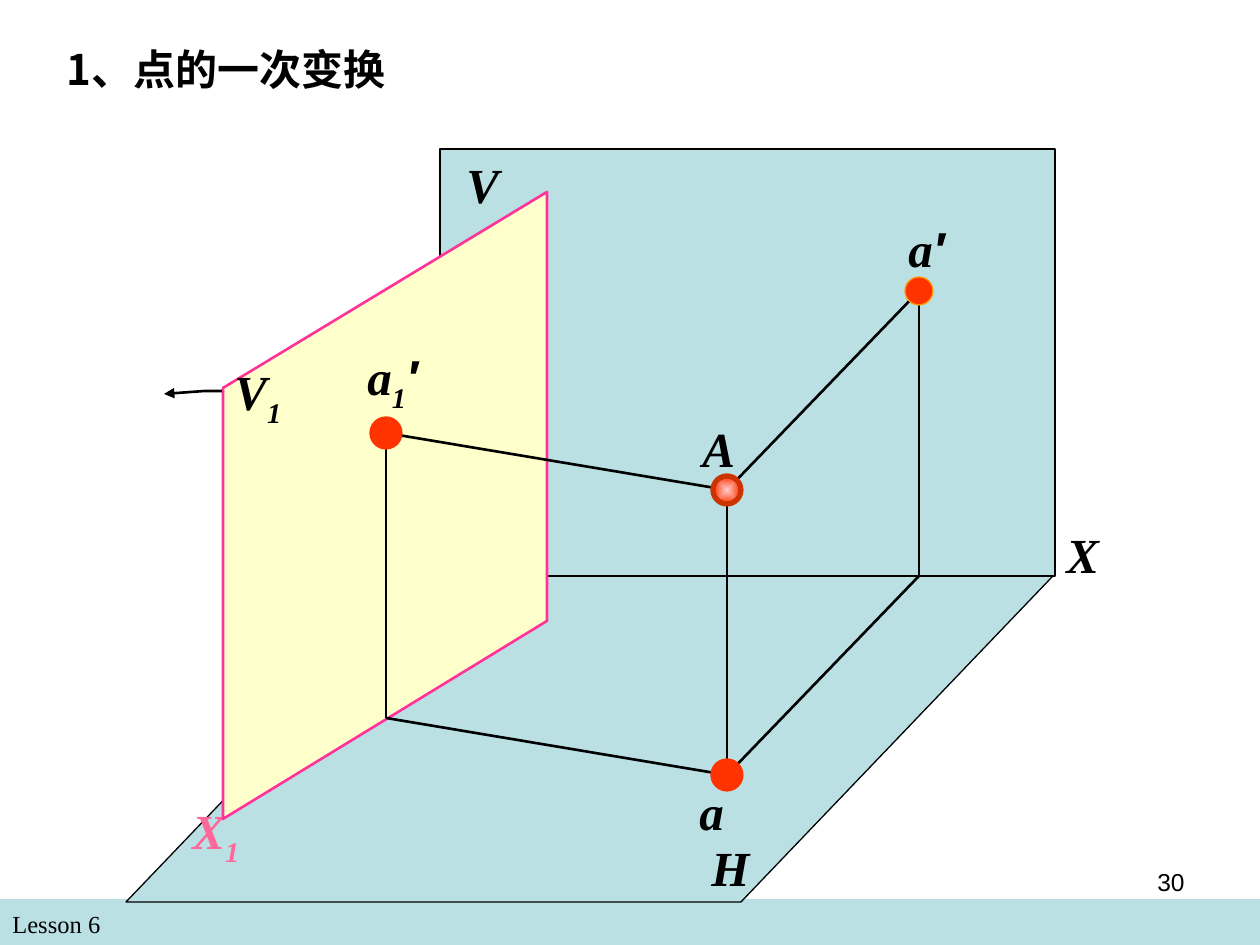
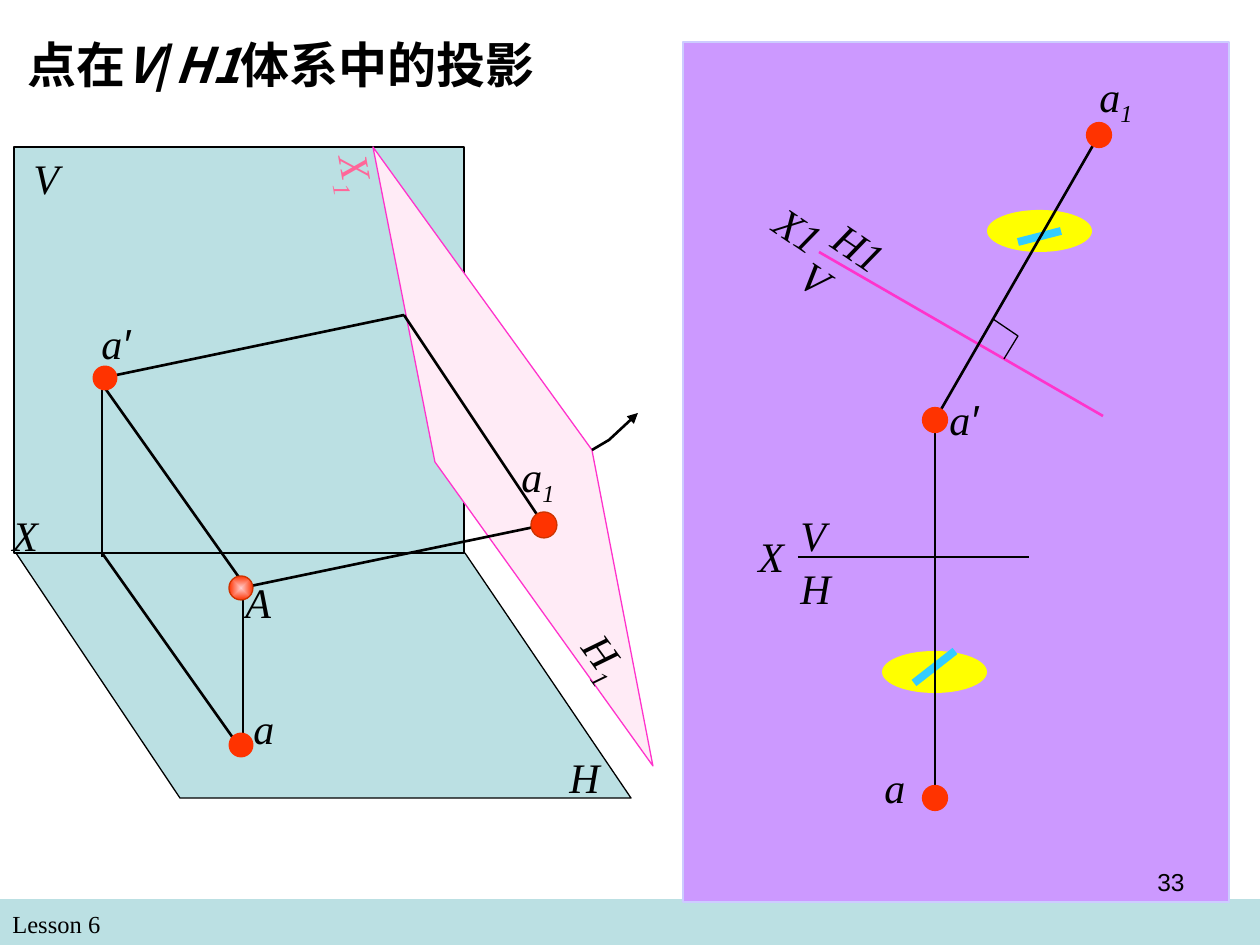
import pptx
import pptx.util
import pptx.oxml
import pptx.oxml.ns
import pptx.dml.color
import pptx.enum.shapes
import pptx.enum.text
from lxml import etree

RGB = pptx.dml.color.RGBColor
BLACK = RGB(0x00, 0x00, 0x00)
TEAL = RGB(0xBB, 0xE0, 0xE3)
CREAM = RGB(0xFF, 0xFF, 0xCC)
BLUSH = RGB(0xFF, 0xEB, 0xF6)
PINK = RGB(0xFF, 0x33, 0x99)
MAGENTA = RGB(0xFF, 0x33, 0xCC)
ROSE = RGB(0xFF, 0x66, 0x99)
RED = RGB(0xFF, 0x33, 0x00)
DARK_RED = RGB(0xCC, 0x33, 0x00)
PALE_RED = RGB(0xFF, 0xCC, 0xCC)
ORANGE = RGB(0xFF, 0x99, 0x00)
VIOLET = RGB(0xCC, 0x99, 0xFF)
LAVENDER = RGB(0xCC, 0xCC, 0xFF)
YELLOW = RGB(0xFF, 0xFF, 0x00)
CYAN = RGB(0x33, 0xCC, 0xFF)

SERIF, SANS, CJK = "Times New Roman", "Arial", "Noto Sans CJK SC"
SCALE = 914400 / 126
WIDTH, HEIGHT = 1260, 945
RECT = pptx.enum.shapes.MSO_SHAPE.RECTANGLE
OVAL = pptx.enum.shapes.MSO_SHAPE.OVAL
qn = pptx.oxml.ns.qn


def px(length):
    return round(length * SCALE)


def set_outline(shape, color, weight):
    if color is None:
        shape.line.fill.background()
    else:
        shape.line.color.rgb = color
        shape.line.width = pptx.util.Pt(weight)


class Region:
    def __init__(self, slide, left, top, size=28, bold=False):
        self.shapes = slide.shapes
        self.left, self.top = left, top
        self.size, self.bold = size, bold

    def place(self, x, y):
        return px(self.left + x), px(self.top + y)

    def preset(self, kind, x, y, width, height, fill, outline=None, weight=0.75):
        shape = self.shapes.add_shape(kind, *self.place(x, y), px(width), px(height))
        shape.shadow.inherit = False
        if fill is not None:
            shape.fill.solid()
            shape.fill.fore_color.rgb = fill
        set_outline(shape, outline, weight)
        return shape

    def dot(self, center, diameter, outline=RED, weight=3):
        x, y = center
        corner = x - diameter / 2, y - diameter / 2
        return self.preset(OVAL, *corner, diameter, diameter, RED, outline, weight)

    def space_point(self, center, diameter, weight):
        ball = self.dot(center, diameter, DARK_RED, weight)
        ball.fill.gradient()
        for stop, color in zip(ball.fill.gradient_stops, (PALE_RED, RED)):
            stop.color.rgb = color
        gradient = ball.fill._xPr.find(qn("a:gradFill"))
        gradient.remove(gradient.find(qn("a:lin")))
        spread = etree.SubElement(gradient, qn("a:path"), path="rect")
        sides = dict.fromkeys("ltrb", "50000")
        etree.SubElement(spread, qn("a:fillToRect"), **sides)

    def outline_shape(self, points, fill=None, outline=BLACK, weight=0.75, arrow=False):
        corners = [(self.left + x, self.top + y) for x, y in points]
        builder = self.shapes.build_freeform(*corners[0], scale=SCALE)
        builder.add_line_segments(corners[1:], close=fill is not None)
        shape = builder.convert_to_shape()
        shape.shadow.inherit = False
        if fill is None:
            shape.fill.background()
        else:
            shape.fill.solid()
            shape.fill.fore_color.rgb = fill
        set_outline(shape, outline, weight)
        if arrow:
            etree.SubElement(shape.line._get_or_add_ln(), qn("a:tailEnd"), type="triangle")

    def line(self, start, end, color=BLACK, weight=1.5):
        connector = self.shapes.add_connector(
            pptx.enum.shapes.MSO_CONNECTOR.STRAIGHT, *self.place(*start), *self.place(*end))
        set_outline(connector, color, weight)
        etree.SubElement(connector._element.spPr, qn("a:effectLst"))

    def text(self, x, y, width, height, pieces, size, font, color=BLACK, top_inset=6):
        box = self.shapes.add_textbox(*self.place(x, y), px(width), px(height))
        frame = box.text_frame
        frame.word_wrap = True
        frame.margin_top = px(top_inset)
        paragraph = frame.paragraphs[0]
        paragraph.line_spacing = pptx.util.Pt(round(size * 1.2, 1))
        for piece in pieces:
            run = paragraph.add_run()
            run.text = piece
            run.font.size = pptx.util.Pt(size)
            run.font.name = font
            run.font.color.rgb = color
        return box

    def label(self, x, y, width, base, sub="", prime="", color=BLACK, rotation=0):
        pieces = [piece for piece in (base, sub, prime) if piece]
        height = round(self.size * 2.6)
        box = self.text(x, y, width, height, pieces, self.size, SERIF, color)
        box.rotation = rotation
        for run in box.text_frame.paragraphs[0].runs:
            run.font.italic = True
            run.font.bold = self.bold
            if run.text == sub:
                run._r.get_or_add_rPr().set("baseline", "-25000")
            if run.text == prime:
                run.font.name = SANS


def add_footer(slide):
    footer = Region(slide, 0, 900)
    footer.preset(RECT, 0, -1, WIDTH, 46, TEAL)
    footer.text(0, 3, 609, 43, ["Lesson 6"], 14, SERIF)


def add_page_number(slide, number):
    box = Region(slide, 903, 861).text(0, 0, 294, 65, [number], 14, SANS)
    box.text_frame.paragraphs[0].alignment = pptx.enum.text.PP_ALIGN.RIGHT


def add_title(slide, left, top, width, pieces, size, italics=()):
    title = Region(slide, left, top)
    box = title.text(0, 0, width, round(size * 2.6), pieces, size, CJK, top_inset=10)
    for run in box.text_frame.paragraphs[0].runs:
        run.font.bold = True
        run.font.italic = run.text in italics
        etree.SubElement(run._r.get_or_add_rPr(), qn("a:ea"), typeface=CJK)


def draw_vertical_plane_change(slide, left, top):
    view = Region(slide, left, top, 28, bold=True)
    space, top_view, front, new_front = (601, 341), (601, 626), (793, 142), (260, 284)
    axis_foot, new_axis_foot = (793, 427), (260, 569)

    view.outline_shape([(312, 427), (0, 753), (615, 753), (927, 427)], TEAL)
    view.preset(RECT, 314, 0, 615, 427, TEAL, BLACK)
    view.label(328, 0, 68, "V")
    view.label(573, 683, 68, "H")
    view.label(928, 370, 70, "X")
    view.label(54, 654, 136, "X", "1", color=ROSE)
    view.outline_shape([(97, 670), (421, 472), (421, 43), (97, 239)], CREAM, PINK, 1.5)
    view.label(96, 215, 110, "V", "1")
    view.label(229, 200, 96, "a", "1", "′")
    for start, end in [
        (new_front, new_axis_foot), (top_view, new_axis_foot), (space, new_front),
        (front, axis_foot), (axis_foot, top_view), (front, space), (space, top_view),
    ]:
        view.line(start, end)
    view.label(770, 64, 110, "a", prime="′")
    view.label(564, 264, 68, "A")
    view.label(561, 627, 110, "a")
    view.dot(new_front, 28)
    view.space_point(space, 28, 3)
    view.dot(front, 28, ORANGE, 0.75)
    view.dot(top_view, 28)
    view.outline_shape([(96, 242), (79, 242), (38, 245)], weight=1.5, arrow=True)


def draw_horizontal_plane_change(slide, left, top):
    view = Region(slide, left, top, 24)
    space, new_top, new_axis_foot = (227, 441), (530, 378), (390, 168)
    front, axis_foot, top_view = (88, 237), (88, 406), (229, 605)

    view.outline_shape([(451, 406), (617, 651), (166, 651), (2, 406)], TEAL)
    view.preset(RECT, 0, 0, 450, 406, TEAL, BLACK)
    view.label(7, 0, 68, "V")
    view.label(543, 599, 50, "H")
    view.label(-14, 357, 53, "X")
    view.outline_shape([(359, 0), (421, 315), (639, 619), (578, 303)], BLUSH, MAGENTA)
    view.label(548, 492, 92, "H", "1", rotation=54)
    view.label(302, 2, 73, "X", "1", color=ROSE, rotation=80)
    view.outline_shape([(578, 303), (595, 293), (624, 266)], weight=1.5, arrow=True)
    for start, end in [
        ((88, 231), new_axis_foot), (space, new_top), (new_axis_foot, new_top),
        (front, (88, 410)), (axis_foot, top_view), (front, (229, 436)), ((229, 441), top_view),
    ]:
        view.line(start, end)
    view.label(495, 304, 107, "a", "1")
    view.label(75, 165, 81, "a", prime="′")
    view.label(219, 424, 50, "A")
    view.label(227, 550, 81, "a")
    view.dot(new_top, 26, DARK_RED, 0.75)
    view.space_point(space, 24, 0.75)
    view.dot((227, 598), 21, weight=2.25)
    view.dot((91, 231), 21, weight=2.25)


def draw_projection_panel(slide, left, top, width, height):
    panel = Region(slide, left, top, 24)
    front, top_view, new_top = (252, 378), (252, 756), (416, 93)

    panel.preset(RECT, 0, 0, width, height, VIOLET, LAVENDER)
    for x, y in [(304, 168), (199, 609)]:
        panel.preset(OVAL, x, y, 105, 42, YELLOW)
    panel.line((136, 210), (420, 374), MAGENTA)
    for x, y, label_width, base in [
        (77, 168, 112, "X1"), (136, 182, 105, "H1"), (106, 211, 72, "V"),
    ]:
        panel.label(x, y, label_width, base, rotation=34.2)
    panel.line((335, 200), (378, 189), CYAN, 4.5)
    panel.line((272, 609), (231, 641), CYAN, 4.5)
    panel.line(front, new_top)
    panel.line((115, 515), (346, 515))
    panel.line(front, top_view)
    panel.outline_shape([(310, 277), (335, 294), (321, 317)])
    for center in (new_top, front, top_view):
        panel.dot(center, 21)
    panel.label(404, 29, 102, "a", "1")
    panel.label(63, 483, 82, "X")
    panel.label(105, 462, 53, "V")
    panel.label(105, 515, 53, "H")
    panel.label(254, 346, 111, "a", prime="′")
    panel.label(189, 714, 63, "a")


def add_lesson_slide(deck):
    slide = deck.slides.add_slide(deck.slide_layouts[6])
    add_footer(slide)
    return slide


def main():
    deck = pptx.Presentation()
    deck.slide_width, deck.slide_height = px(WIDTH), px(HEIGHT)

    single_change = add_lesson_slide(deck)
    draw_vertical_plane_change(single_change, 126, 149)
    add_title(single_change, 54, 34, 350, ["1、点的一次变换"], 24)
    add_page_number(single_change, "30")

    new_system = add_lesson_slide(deck)
    draw_projection_panel(new_system, 683, 42, 546, 860)
    draw_horizontal_plane_change(new_system, 14, 147)
    add_title(new_system, 15, 25, 538, ["点在", "V", "/", "H1", "体系中的投影"], 28, ("V", "H1"))
    add_page_number(new_system, "33")

    deck.save("out.pptx")


if __name__ == "__main__":
    main()
